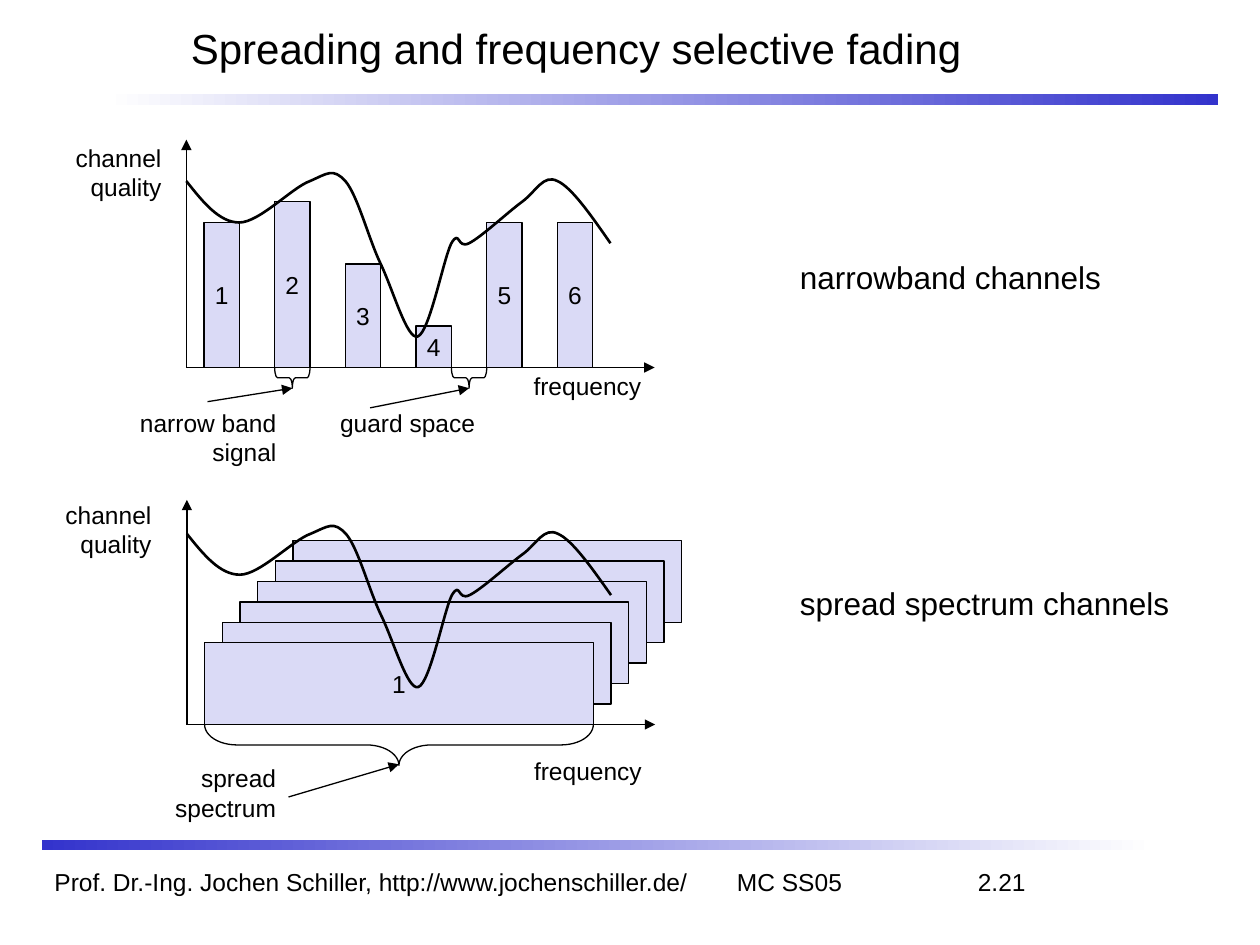
from dataclasses import dataclass

from lxml.etree import SubElement
from pptx import Presentation
from pptx.dml.color import RGBColor
from pptx.enum.shapes import MSO_CONNECTOR, MSO_SHAPE
from pptx.enum.text import MSO_ANCHOR, PP_ALIGN
from pptx.oxml.ns import qn
from pptx.util import Inches, Pt


@dataclass(frozen=True)
class Theme:
    font: str = "Arial"
    ink: RGBColor = RGBColor(0, 0, 0)
    paper: RGBColor = RGBColor(255, 255, 255)
    accent: RGBColor = RGBColor(0x33, 0x33, 0xCC)
    signal: RGBColor = RGBColor(0xDA, 0xDA, 0xF6)
    title: int = 24
    caption: int = 18
    label: int = 14
    thin: float = 0.75
    thick: float = 1.5


@dataclass(frozen=True)
class Grid:
    """Cells counted from an origin; direction -1 counts rows upwards."""
    left: float
    origin: float
    column: float
    row: float
    direction: int = 1

    def spot(self, column, row):
        return (round(self.left + column * self.column),
                round(self.origin + self.direction * row * self.row))

    def box(self, column, top, columns, rows):
        return (*self.spot(column, top),
                round(columns * self.column), round(rows * self.row))


THEME = Theme()
WIDTH, HEIGHT = Inches(10), Inches(7.5)
PAGE_GRID = Grid(0, 0, WIDTH / 120, HEIGHT / 90)
PLOT_COLUMNS, PLOT_ROWS = 26.5, 11

# Channel quality: a start, then two handles and an end for each curve piece
QUALITY = [
    (0, 9),
    (0.93, 8), (1.86, 7), (3, 7),
    (4.14, 7), (6, 8.7), (7, 9),
    (8, 9.37), (8.3, 9.65), (9, 9),
    (9.7, 8.3), (10.3, 6.25), (11, 5),
    (11.7, 3.75), (12.5, 1.3), (13.1, 1.5),
    (13.77, 1.7), (14.55, 5.25), (15, 6),
    (15.5, 6.7), (15.3, 5.7), (16, 6),
    (16.7, 6.3), (18.2, 7.5), (19, 8),
    (19.8, 8.5), (20.2, 9.35), (21, 9),
    (21.8, 8.7), (22.9, 7.35), (24, 6),
]


def outline(shape, width=THEME.thin):
    shape.line.color.rgb = THEME.ink
    shape.line.width = Pt(width)


def write(shape, text, size=THEME.label, align=PP_ALIGN.LEFT, tabs=()):
    para = shape.text_frame.paragraphs[0]
    para.text = text
    para.alignment = align
    if tabs:
        tab_list = SubElement(para._p.get_or_add_pPr(), qn("a:tabLst"))
        for column, side in tabs:
            position = str(round(column * PAGE_GRID.column))
            SubElement(tab_list, qn("a:tab"), pos=position, algn=side)
    for span in para.runs:
        span.font.name = THEME.font
        span.font.size = Pt(size)
        span.font.color.rgb = THEME.ink


def add_label(shapes, box, text, size=THEME.label, align=PP_ALIGN.RIGHT):
    label = shapes.add_textbox(*box)
    frame = label.text_frame
    frame.word_wrap = True
    # Spare room on the ragged side keeps each line whole
    if align == PP_ALIGN.RIGHT:
        frame.margin_left = 0
    else:
        frame.margin_right = 0
    write(label, text, size, align)


def add_arrow(shapes, start, end):
    arrow = shapes.add_connector(MSO_CONNECTOR.STRAIGHT, *start, *end)
    outline(arrow)
    properties = arrow._element.spPr
    SubElement(properties.find(qn("a:ln")), qn("a:tailEnd"), type="triangle")
    SubElement(properties, qn("a:effectLst"))


def add_block(shapes, box, text=""):
    block = shapes.add_shape(MSO_SHAPE.RECTANGLE, *box)
    block.shadow.inherit = False
    block.fill.solid()
    block.fill.fore_color.rgb = THEME.signal
    outline(block)
    if text:
        block.text_frame.word_wrap = False
        block.text_frame.vertical_anchor = MSO_ANCHOR.MIDDLE
        write(block, text, align=PP_ALIGN.CENTER)


def add_brace(shapes, box):
    """A brace that opens upwards and fills the box."""
    left, top, length, depth = box
    shift = (length - depth) // 2
    brace = shapes.add_shape(MSO_SHAPE.LEFT_BRACE, left + shift, top - shift, depth, length)
    brace.rotation = 270
    brace.adjustments[0] = length / depth / 12
    brace.shadow.inherit = False
    brace.fill.background()
    outline(brace)


def add_quality_curve(shapes, grid, lift=0):
    start, *points = [grid.spot(column, row + lift) for column, row in QUALITY]
    builder = shapes.build_freeform(*start)
    builder.add_line_segments(points, close=False)
    curve = builder.convert_to_shape()
    curve.shadow.inherit = False
    curve.fill.background()
    outline(curve, THEME.thick)
    # Join each three segments into one cubic curve
    path = next(curve._element.iter(qn("a:path")))
    segments = path.findall(qn("a:lnTo"))
    for first in range(0, len(segments), 3):
        cubic = SubElement(path, qn("a:cubicBezTo"))
        for segment in segments[first:first + 3]:
            cubic.append(segment[0])
            path.remove(segment)


def plot_grid(box):
    left, top, width, height = box
    return Grid(left, top + height, width / PLOT_COLUMNS, height / PLOT_ROWS, -1)


def add_axes(shapes, grid, frequency_top, quality_left, quality_top):
    add_arrow(shapes, grid.spot(0, 0), grid.spot(PLOT_COLUMNS, 0))
    add_arrow(shapes, grid.spot(0, 0), grid.spot(0, PLOT_ROWS))
    add_label(shapes, grid.box(18.95, frequency_top, 7.5, 2.05), "frequency")
    add_label(shapes, grid.box(quality_left, quality_top, 6.3, 3.45), "channel\nquality")


def narrowband_plot(shapes, box):
    grid = plot_grid(box)
    add_axes(shapes, grid, 0.15, -7, 11.15)
    for index, height in enumerate((7, 8, 5, 2, 7, 7)):
        add_block(shapes, grid.box(1 + 4 * index, height, 2, height), str(index + 1))
    add_quality_curve(shapes, grid)
    for column in (5, 15):
        add_brace(shapes, grid.box(column, 0, 2, 1))
    # Explanations under the axis
    add_label(shapes, grid.box(-3.35, -1.65, 9.15, 3.45), "narrow band\nsignal")
    add_label(shapes, grid.box(8, -1.65, 9.05, 2.05), "guard space")
    add_arrow(shapes, grid.spot(1.2, -1.65), grid.spot(6, -1))
    add_arrow(shapes, grid.spot(10.4, -1.95), grid.spot(16, -1))


def spread_plot(shapes, box):
    grid = plot_grid(box)
    # Stacked channels, the furthest first
    for depth in range(5, 0, -1):
        add_block(shapes, grid.box(1 + depth, 4 + depth, 22, 4))
    add_axes(shapes, grid, -1.25, -7.6, 11.3)
    add_block(shapes, grid.box(1, 4, 22, 4), "1")
    add_brace(shapes, grid.box(1, 0, 22, 2))
    # Explanation under the axis
    add_label(shapes, grid.box(-1.4, -1.6, 7.15, 3.5), "spread\nspectrum")
    add_arrow(shapes, grid.spot(5.75, -3.55), grid.spot(12, -1.95))
    add_quality_curve(shapes, grid, lift=0.33)


def add_rule(shapes, box, colours):
    rule = shapes.add_shape(MSO_SHAPE.RECTANGLE, *box)
    rule.shadow.inherit = False
    rule.line.fill.background()
    rule.fill.gradient()
    rule.fill.gradient_angle = 0
    for stop, colour in zip(rule.fill.gradient_stops, colours):
        stop.color.rgb = colour


def header(shapes, box):
    title = shapes.add_textbox(*box)
    title.text_frame.word_wrap = True
    title.text_frame.vertical_anchor = MSO_ANCHOR.MIDDLE
    write(title, "Spreading and frequency selective fading", THEME.title)


def footer(shapes, box):
    line = shapes.add_textbox(*box)
    line.text_frame.word_wrap = True
    write(line, "Prof. Dr.-Ing. Jochen Schiller, http://www.jochenschiller.de/\tMC SS05\t2.21",
          tabs=((65, "l"), (92.5, "r")))


def main():
    deck = Presentation()
    deck.slide_width, deck.slide_height = WIDTH, HEIGHT
    page = deck.slides.add_slide(deck.slide_layouts[6])
    shapes, place = page.shapes, PAGE_GRID.box
    # Frame
    add_rule(shapes, place(10, 9, 106, 1), (THEME.paper, THEME.accent))
    add_rule(shapes, place(4, 80, 106, 1), (THEME.accent, THEME.paper))
    footer(shapes, place(4, 82, 105, 4))
    header(shapes, place(17, 0, 101, 9))
    # Plots
    narrowband_plot(shapes, place(17.75, 13.3, 44.6, 21.7))
    spread_plot(shapes.add_group_shape().shapes, place(17.8, 47.6, 44.6, 21.4))
    # Captions
    for top, columns, text in ((24, 31, "narrowband channels"),
                               (55, 37.5, "spread spectrum channels")):
        add_label(shapes, place(75, top, columns, 4.8), text, THEME.caption, PP_ALIGN.LEFT)
    deck.save("out.pptx")


if __name__ == "__main__":
    main()
